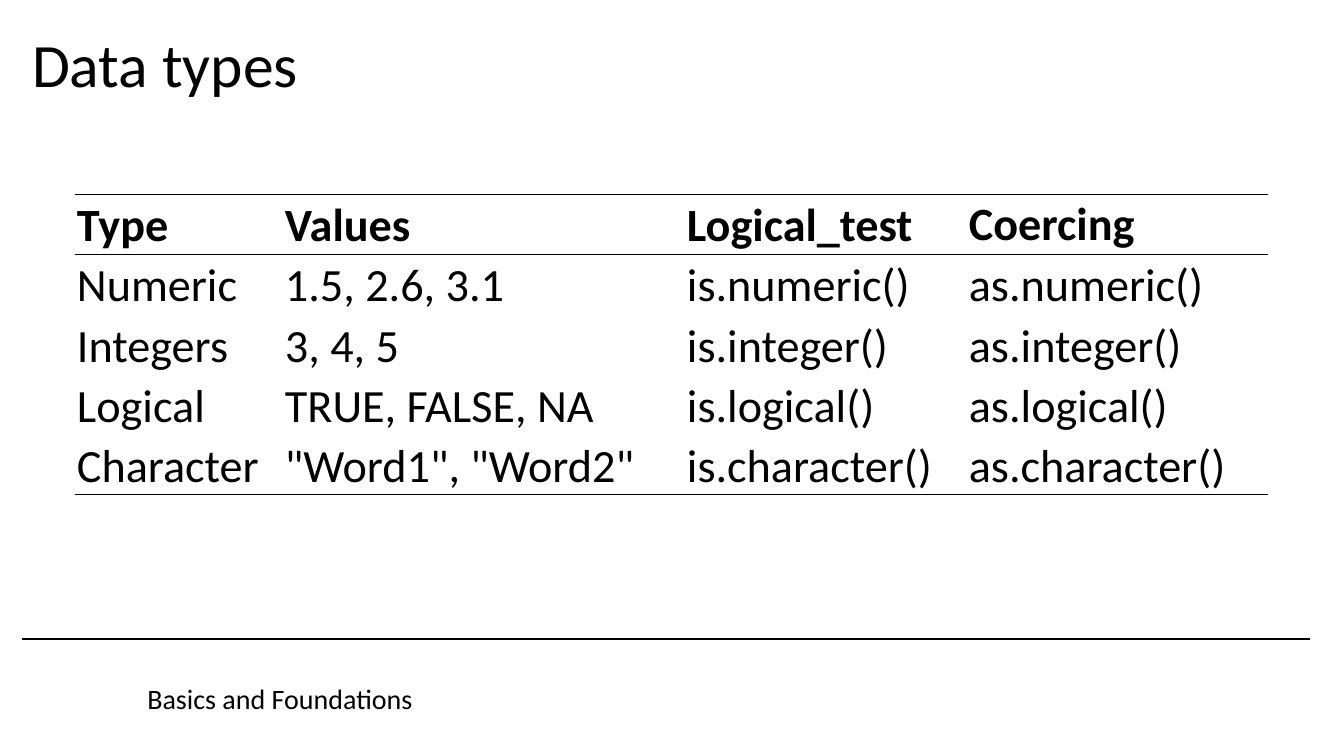
from dataclasses import dataclass

from lxml import etree
from pptx import Presentation
from pptx import util as u
from pptx.dml.color import RGBColor
from pptx.enum import shapes, text
from pptx.oxml.ns import qn


@dataclass(frozen=True)
class Theme:
    font: str = "Calibri"
    ink: str = "000000"
    title: int = 44
    table: int = 33
    footer: int = 20
    divider: float = 1.5
    border: float = 0.5


@dataclass(frozen=True)
class DataType:
    name: str
    values: str
    test: str
    coercing: str

    def cells(self) -> tuple[str, ...]:
        return self.name, self.values, self.test, self.coercing


THEME = Theme()
INK = RGBColor.from_string(THEME.ink)
HEADER = DataType("Type", "Values", "Logical_test", "Coercing")
DATA_TYPES = [
    DataType(name, values, f"is.{function}()", f"as.{function}()")
    for name, values, function in (
        ("Numeric", "1.5, 2.6, 3.1", "numeric"),
        ("Integers", "3, 4, 5", "integer"),
        ("Logical", "TRUE, FALSE, NA", "logical"),
        ("Character", '"Word1", "Word2"', "character"),
    )
]
COLUMN_WIDTHS = (208, 402, 282, 301)


def px(pixels: int) -> u.Emu:
    return u.Emu(round(pixels * 914400 / 100.8))


def add_run(p, content: str, size: int, bold: bool = False) -> None:
    r = p.add_run()
    r.text = content
    r.font.name = THEME.font
    r.font.size = u.Pt(size)
    r.font.bold = bold
    r.font.color.rgb = INK


def write_line(sp, content: str, size: int, align: text.PP_ALIGN) -> None:
    tf = sp.text_frame
    tf.word_wrap = False
    tf.auto_size = text.MSO_AUTO_SIZE.SHAPE_TO_FIT_TEXT
    tf.vertical_anchor = text.MSO_ANCHOR.TOP
    p = tf.paragraphs[0]
    p.alignment = align
    p.line_spacing = 1.0
    add_run(p, content, size)


def set_borders(cell, ruled: set[str]) -> None:
    tc_pr = cell._tc.get_or_add_tcPr()
    for i, side in enumerate(("lnL", "lnR", "lnT", "lnB")):
        ln = etree.Element(qn(f"a:{side}"), w=str(u.Pt(THEME.border)))
        if side in ruled:
            fill = etree.SubElement(ln, qn("a:solidFill"))
            etree.SubElement(fill, qn("a:srgbClr"), val=THEME.ink)
        else:
            etree.SubElement(ln, qn("a:noFill"))
        tc_pr.insert(i, ln)


def add_type_table(s, left: int, top: int, height: int) -> None:
    rows = [HEADER, *DATA_TYPES]
    table = s.shapes.add_table(
        len(rows), len(COLUMN_WIDTHS),
        px(left), px(top), px(sum(COLUMN_WIDTHS)), px(height),
    ).table
    table.first_row = False
    table.horz_banding = False
    for column, width in zip(table.columns, COLUMN_WIDTHS):
        column.width = px(width)
    for i, row in enumerate(rows):
        ruled = set()
        if i <= 1:
            ruled.add("lnT")
        if i in (0, len(rows) - 1):
            ruled.add("lnB")
        for j, content in enumerate(row.cells()):
            cell = table.cell(i, j)
            cell.margin_left = cell.margin_right = cell.margin_top = px(2)
            cell.margin_bottom = 0
            centred = row is HEADER and content == HEADER.coercing
            cell.vertical_anchor = (
                text.MSO_ANCHOR.MIDDLE if centred else text.MSO_ANCHOR.BOTTOM
            )
            cell.fill.background()
            set_borders(cell, ruled)
            add_run(cell.text_frame.paragraphs[0], content, THEME.table, row is HEADER)


def add_divider(s, left: int, right: int, y: int) -> None:
    line = s.shapes.add_connector(
        shapes.MSO_CONNECTOR.STRAIGHT, px(left), px(y), px(right), px(y)
    )
    line.line.color.rgb = INK
    line.line.width = u.Pt(THEME.divider)
    etree.SubElement(line._element.spPr, qn("a:effectLst"))


prs = Presentation()
prs.slide_width = px(1344)
prs.slide_height = px(756)
s = prs.slides.add_slide(prs.slide_layouts[5])

footer = s.shapes.add_textbox(px(136), px(677), px(288), px(44))
write_line(footer, "Basics and Foundations", THEME.footer, text.PP_ALIGN.CENTER)

add_divider(s, 22, 1310, 639)

title = s.shapes.title
title.left, title.top, title.width, title.height = px(22), px(21), px(289), px(85)
write_line(title, "Data types", THEME.title, text.PP_ALIGN.LEFT)

add_type_table(s, 75, 194, 301)

prs.save("out.pptx")
